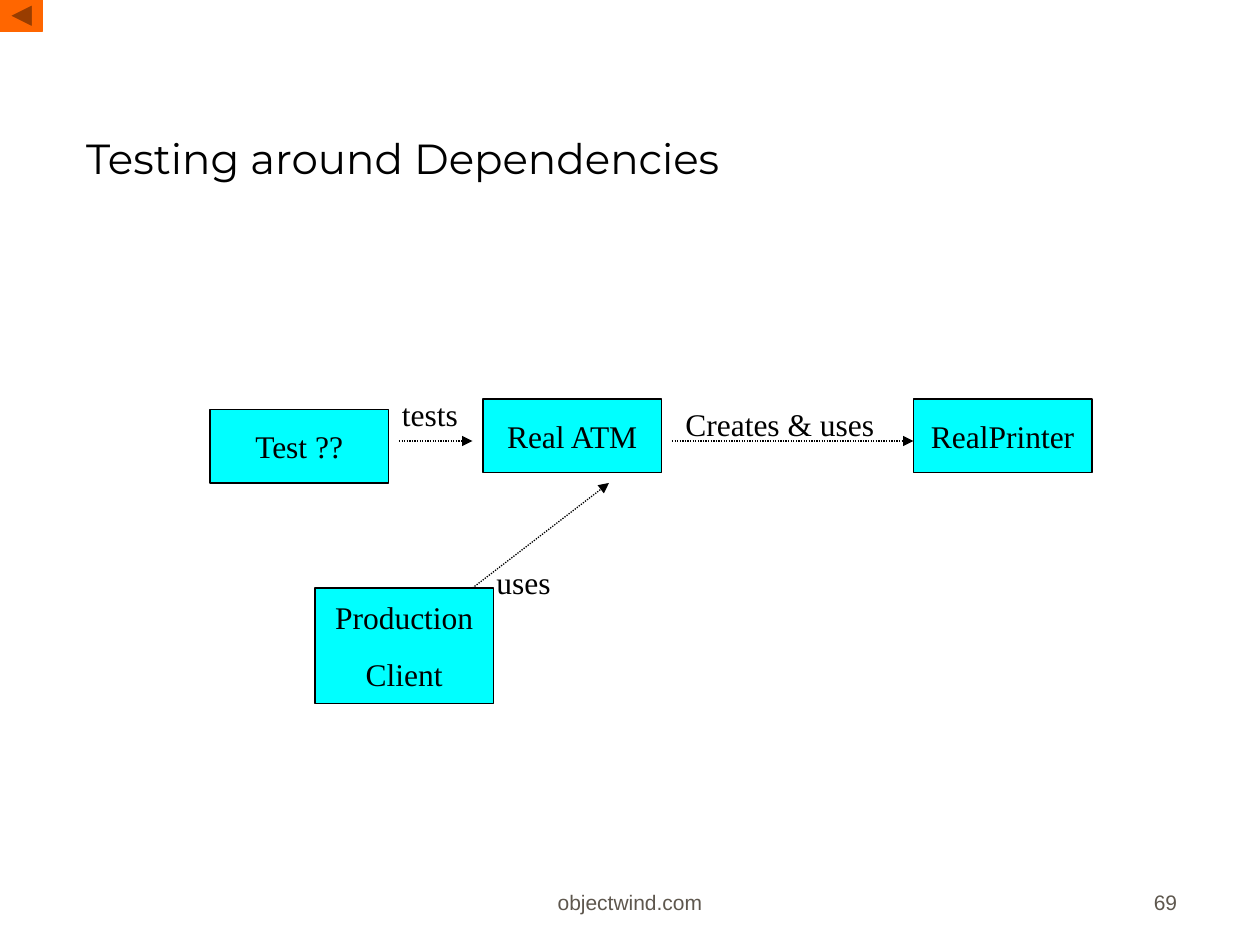
from pptx import Presentation, util as u
from pptx.dml.color import RGBColor
from pptx.enum import dml, shapes, text
from pptx.oxml.ns import qn
from lxml import etree

BLACK = RGBColor(0x00, 0x00, 0x00)
CYAN = RGBColor(0x00, 0xFF, 0xFF)
ORANGE = RGBColor(0xFF, 0x66, 0x00)
GREY = RGBColor(0x5E, 0x57, 0x4E)

COLUMNS, ROWS = 120, 90
SLIDE_WIDTH, SLIDE_HEIGHT = u.Inches(10), u.Inches(7.5)

# Diagram parts, in columns and rows relative to the diagram's corner
DIAGRAM = (20, 37)
NODES = [
    ("Test ??", (0, 2, 17, 7)),
    ("Real ATM", (26, 1, 17, 7)),
    ("RealPrinter", (67, 1, 17, 7)),
    ("Production\nClient", (10, 19, 17, 11)),
]
ARROWS = [
    (18, 5, 25, 5),
    (44, 5, 67, 5),
    (25, 19, 38, 9),
]
LABELS = [
    ("tests", (17.1, 0, 7.7, 4.8)),
    ("Creates & uses", (44.1, 1, 20.4, 4.8)),
    ("uses", (26.1, 16, 7.6, 4.8)),
]


def grid(*values):
    """Turn alternating columns and rows into lengths."""
    steps = (SLIDE_WIDTH / COLUMNS, SLIDE_HEIGHT / ROWS)
    return [u.Emu(round(value * steps[i % 2])) for i, value in enumerate(values)]


def write(shape, content, font, size, color, align, anchor, wrap=True):
    frame = shape.text_frame
    frame.text = content
    frame.word_wrap = wrap
    frame.auto_size = text.MSO_AUTO_SIZE.NONE
    frame.vertical_anchor = anchor
    for number, paragraph in enumerate(frame.paragraphs):
        paragraph.alignment = align
        paragraph.space_before = u.Pt(11.2 if number else 0)
        for run in paragraph.runs:
            run.font.name = font
            run.font.size = u.Pt(size)
            run.font.color.rgb = color


def add_title(slide, box):
    title = slide.shapes.title
    title.left, title.top, title.width, title.height = grid(*box)
    write(title, "Testing around Dependencies", "Montserrat", 24, BLACK,
          text.PP_ALIGN.LEFT, text.MSO_ANCHOR.BOTTOM)


def add_back_button(slide, box):
    button = slide.shapes.add_shape(
        shapes.MSO_SHAPE.ACTION_BUTTON_BACK_OR_PREVIOUS, *grid(*box))
    button.shadow.inherit = False
    button.fill.solid()
    button.fill.fore_color.rgb = ORANGE
    button.line.color.rgb = ORANGE
    button.line.width = u.Pt(1)


def add_node(slide, content, box):
    node = slide.shapes.add_shape(shapes.MSO_SHAPE.RECTANGLE, *grid(*box))
    node.shadow.inherit = False
    node.fill.solid()
    node.fill.fore_color.rgb = CYAN
    node.line.color.rgb = BLACK
    node.line.width = u.Pt(0.75)
    write(node, content, "Times New Roman", 18, BLACK,
          text.PP_ALIGN.CENTER, text.MSO_ANCHOR.MIDDLE, wrap=False)


def add_arrow(slide, ends):
    arrow = slide.shapes.add_connector(shapes.MSO_CONNECTOR.STRAIGHT, *grid(*ends))
    arrow.line.color.rgb = BLACK
    arrow.line.width = u.Pt(0.75)
    arrow.line.dash_style = dml.MSO_LINE.ROUND_DOT
    properties = arrow.line._get_or_add_ln()
    etree.SubElement(properties, qn("a:tailEnd"), type="triangle")
    etree.SubElement(properties.getparent(), qn("a:effectLst"))


def add_diagram(slide, corner):
    left, top = corner

    def place(x, y, *size):
        return (left + x, top + y, *size)

    for content, box in NODES:
        add_node(slide, content, place(*box))
    for x1, y1, x2, y2 in ARROWS:
        add_arrow(slide, place(x1, y1) + place(x2, y2))
    for content, box in LABELS:
        label = slide.shapes.add_textbox(*grid(*place(*box)))
        write(label, content, "Times New Roman", 18, BLACK,
              text.PP_ALIGN.LEFT, text.MSO_ANCHOR.TOP, wrap=False)


def add_footer(slide, box):
    left, top, width, height = box
    parts = [
        ("objectwind.com", left, 38, text.PP_ALIGN.CENTER),
        ("69", left + width - 25, 25, text.PP_ALIGN.RIGHT),
    ]
    for content, x, part_width, align in parts:
        part = slide.shapes.add_textbox(*grid(x, top, part_width, height))
        write(part, content, "Arial", 12, GREY, align, text.MSO_ANCHOR.BOTTOM)


def main():
    presentation = Presentation()
    presentation.slide_width = SLIDE_WIDTH
    presentation.slide_height = SLIDE_HEIGHT
    title_only = presentation.slide_layouts[5]
    slide = presentation.slides.add_slide(title_only)

    add_back_button(slide, (0, 0, 4, 3))
    add_title(slide, (7, 3, 96.4, 15))
    add_diagram(slide, DIAGRAM)
    add_footer(slide, (41, 81.7, 72.3, 6))

    presentation.save("out.pptx")


if __name__ == "__main__":
    main()
